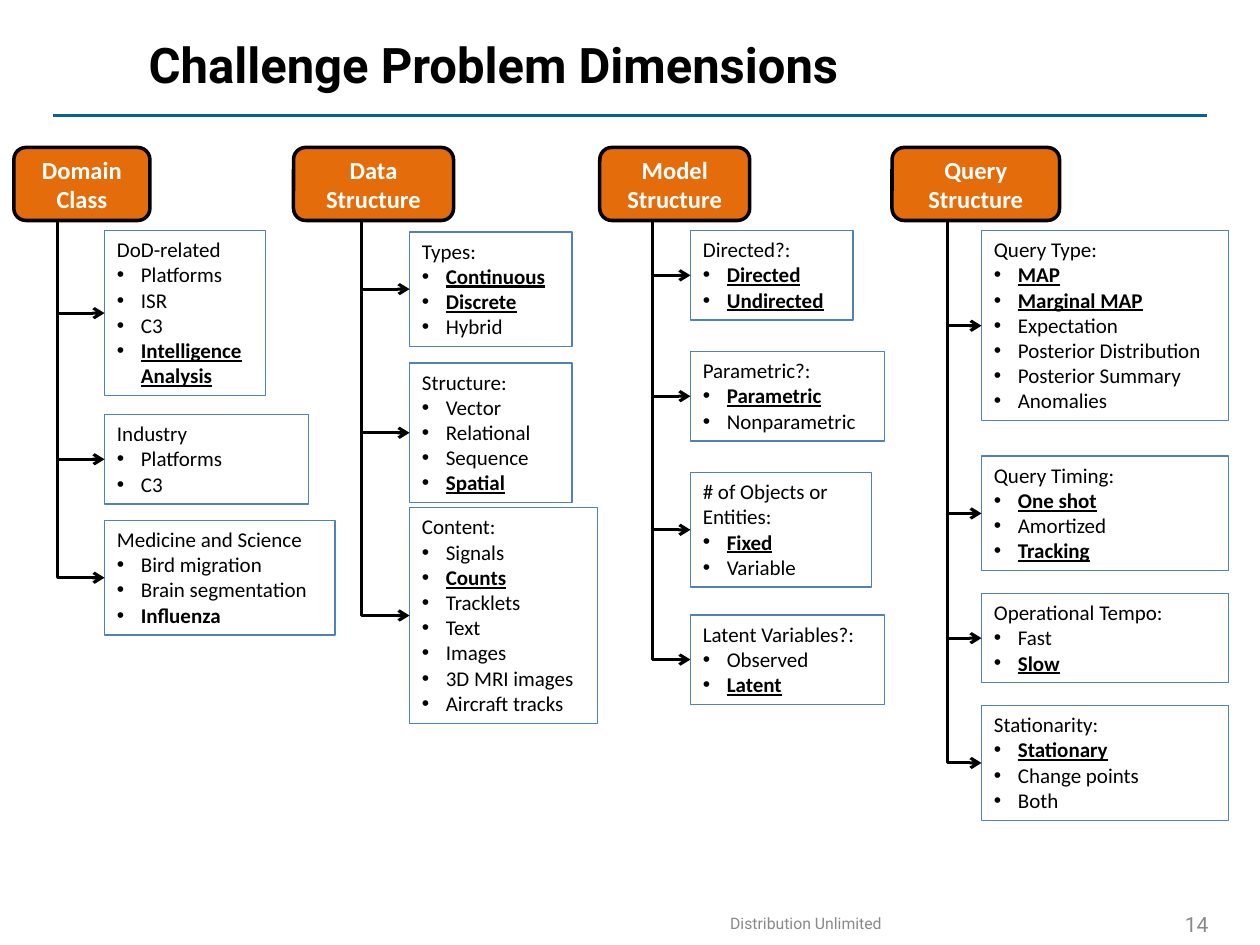
from lxml.etree import SubElement
from pptx import Presentation
from pptx.dml.color import RGBColor
from pptx.enum.shapes import MSO_CONNECTOR, MSO_SHAPE
from pptx.enum.text import MSO_ANCHOR, MSO_AUTO_SIZE, PP_ALIGN
from pptx.oxml.ns import qn
from pptx.util import Inches, Pt

TITLE = "Challenge Problem Dimensions"
# Footer texts: (text, left, top, width, height, alignment, size key)
FOOTERS = [
    ("Distribution Unlimited", 4.25, 7.16, 4.29, 0.33, PP_ALIGN.CENTER, "footer"),
    ("14", 8.86, 7.17, 0.83, 0.32, PP_ALIGN.RIGHT, "number"),
]
# Boxes: (top, width, text lines, heading, items)
# "*" marks a bold underlined item, "+" a bold one.
COLUMNS = [
    {"name": "Domain Class", "left": 0.11, "width": 1.08, "trunk": 0.46, "boxes_left": 0.83, "boxes": [
        (1.83, 1.28, 6, "DoD-related", ["Platforms", "ISR", "C3", "*Intelligence Analysis"]),
        (3.29, 1.62, 3, "Industry", ["Platforms", "C3"]),
        (4.13, 1.83, 4, "Medicine and Science", ["Bird migration", "Brain segmentation", "+Influenza"]),
    ]},
    {"name": "Data Structure", "left": 2.33, "width": 1.27, "trunk": 2.87, "boxes_left": 3.25, "boxes": [
        (1.84, 1.29, 4, "Types:", ["*Continuous", "*Discrete", "Hybrid"]),
        (2.88, 1.29, 5, "Structure:", ["Vector", "Relational", "Sequence", "*Spatial"]),
        (4.03, 1.49, 8, "Content:", ["Signals", "*Counts", "Tracklets", "Text", "Images",
                                     "3D MRI images", "Aircraft tracks"]),
    ]},
    {"name": "Model Structure", "left": 4.76, "width": 1.19, "trunk": 5.18, "boxes_left": 5.48, "boxes": [
        (1.83, 1.29, 3, "Directed?:", ["*Directed", "*Undirected"]),
        (2.79, 1.54, 3, "Parametric?:", ["*Parametric", "Nonparametric"]),
        (3.75, 1.44, 4, "# of Objects or Entities:", ["*Fixed", "Variable"]),
        (4.88, 1.54, 3, "Latent Variables?:", ["Observed", "*Latent"]),
    ]},
    {"name": "Query Structure", "left": 7.08, "width": 1.33, "trunk": 7.52, "boxes_left": 7.79, "boxes": [
        (1.83, 1.96, 7, "Query Type:", ["*MAP", "*Marginal MAP", "Expectation", "Posterior Distribution",
                                        "Posterior Summary", "Anomalies"]),
        (3.62, 1.96, 4, "Query Timing:", ["*One shot", "Amortized", "*Tracking"]),
        (4.71, 1.96, 3, "Operational Tempo:", ["Fast", "*Slow"]),
        (5.6, 1.96, 4, "Stationarity:", ["*Stationary", "Change points", "Both"]),
    ]},
]
MARKS = {"*": {"bold": True, "underline": True}, "+": {"bold": True}}
THEME = {
    "head_font": "Roboto", "body_font": "Calibri",
    "black": "000000", "white": "FFFFFF", "grey": "898989",
    "rule": "0F5E90", "header": "E46C0A", "border": "4F81BD",
    "title": 28, "heading": 14, "body": 12, "footer": 9, "number": 12,
}
HEADER_TOP, HEADER_HEIGHT = 1.17, 0.58
LINE_HEIGHT, BOX_PADDING = 0.2, 0.11
INDENT = Inches(0.19)


def color(key):
    return RGBColor.from_string(THEME[key])


def add_run(p, text, font, size, ink, **extra):
    r = p.add_run()
    r.text = text
    for name, value in {"name": THEME[font], "size": Pt(THEME[size]), **extra}.items():
        setattr(r.font, name, value)
    r.font.color.rgb = color(ink)


def add_box(s, kind, left, top, width, height, fill, line, weight):
    sp = s.shapes.add_shape(kind, Inches(left), Inches(top), Inches(width), Inches(height))
    sp.shadow.inherit = False
    if fill:
        sp.fill.solid()
        sp.fill.fore_color.rgb = color(fill)
    else:
        sp.fill.background()
    sp.line.color.rgb = color(line)
    sp.line.width = Pt(weight)
    sp.text_frame.word_wrap = True
    return sp


def add_line(s, kind, x1, y1, x2, y2, ink):
    line = s.shapes.add_connector(kind, Inches(x1), Inches(y1), Inches(x2), Inches(y2))
    line.line.color.rgb = color(ink)
    line.line.width = Pt(1.75)
    SubElement(line._element.spPr, qn("a:effectLst"))
    return line


def add_branch(s, x1, y1, x2, y2):
    """Arrow that runs down from the header and turns right into a box."""
    # A quarter turn swaps the frame's sides around its centre.
    branch = add_line(s, MSO_CONNECTOR.ELBOW, x1, y1, x2, y2, "black")
    w, h = y2 - y1, x2 - x1
    frame = {"left": (x1 + x2 - w) / 2, "top": (y1 + y2 - h) / 2, "width": w, "height": h}
    for name, value in frame.items():
        setattr(branch, name, Inches(value))
    spPr = branch._element.spPr
    xfrm = spPr.find(qn("a:xfrm"))
    xfrm.set("rot", str(270 * 60000))
    xfrm.set("flipH", "1")
    spPr.find(qn("a:prstGeom")).set("prst", "bentConnector2")
    SubElement(spPr.find(qn("a:ln")), qn("a:tailEnd"), type="arrow")


def add_bullet(p):
    pPr = p._p.get_or_add_pPr()
    pPr.set("marL", str(INDENT))
    pPr.set("indent", str(-INDENT))
    SubElement(pPr, qn("a:buFont"), typeface="Arial")
    SubElement(pPr, qn("a:buChar"), char="•")


def add_list_box(s, left, top, width, height, heading, items):
    sp = add_box(s, MSO_SHAPE.RECTANGLE, left, top, width, height, None, "border", 0.75)
    tf = sp.text_frame
    tf.vertical_anchor = MSO_ANCHOR.TOP
    tf.auto_size = MSO_AUTO_SIZE.SHAPE_TO_FIT_TEXT
    p = tf.paragraphs[0]
    p.alignment = PP_ALIGN.LEFT
    add_run(p, heading, "body_font", "body", "black")
    for item in items:
        p = tf.add_paragraph()
        p.alignment = PP_ALIGN.LEFT
        add_bullet(p)
        add_run(p, item.lstrip("*+"), "body_font", "body", "black", **MARKS.get(item[0], {}))


def add_column(s, column):
    header = add_box(s, MSO_SHAPE.ROUNDED_RECTANGLE, column["left"], HEADER_TOP,
                     column["width"], HEADER_HEIGHT, "header", "black", 2)
    header.text_frame.vertical_anchor = MSO_ANCHOR.MIDDLE
    p = header.text_frame.paragraphs[0]
    p.alignment = PP_ALIGN.CENTER
    add_run(p, column["name"], "body_font", "heading", "white", bold=True)
    left = column["boxes_left"]
    for top, width, lines, heading, items in column["boxes"]:
        height = lines * LINE_HEIGHT + BOX_PADDING
        add_list_box(s, left, top, width, height, heading, items)
        add_branch(s, column["trunk"], HEADER_TOP + HEADER_HEIGHT, left, top + height / 2)


def main():
    prs = Presentation()
    prs.slide_width, prs.slide_height = Inches(10), Inches(7.5)
    s = prs.slides.add_slide(prs.slide_layouts[5])

    title = s.shapes.title
    for name, value in {"left": 1.08, "top": 0.17, "width": 7.58, "height": 0.67}.items():
        setattr(title, name, Inches(value))
    title.text_frame.vertical_anchor = MSO_ANCHOR.MIDDLE
    p = title.text_frame.paragraphs[0]
    p.alignment = PP_ALIGN.LEFT
    add_run(p, TITLE, "head_font", "title", "black", bold=True)
    add_line(s, MSO_CONNECTOR.STRAIGHT, 0.42, 0.92, 9.58, 0.92, "rule")

    for column in COLUMNS:
        add_column(s, column)

    for text, left, top, width, height, align, size in FOOTERS:
        tf = s.shapes.add_textbox(Inches(left), Inches(top), Inches(width), Inches(height)).text_frame
        tf.word_wrap = True
        tf.vertical_anchor = MSO_ANCHOR.MIDDLE
        p = tf.paragraphs[0]
        p.alignment = align
        add_run(p, text, "head_font", size, "grey")

    prs.save("out.pptx")


if __name__ == "__main__":
    main()
